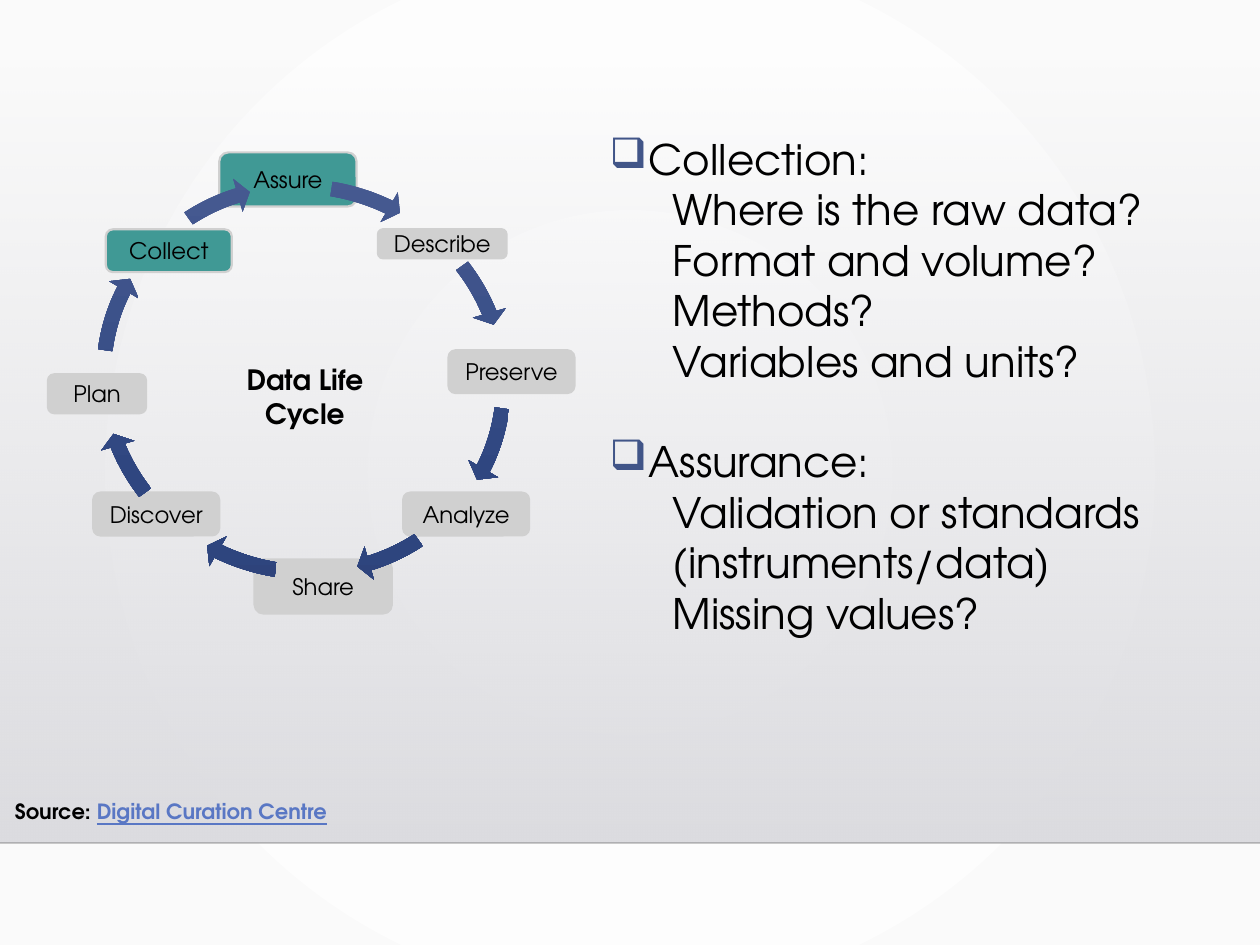
from lxml import etree
from pptx import Presentation
from pptx import util as u
from pptx.dml.color import RGBColor
from pptx.enum import shapes, text
from pptx.oxml import ns

FONT = "TeX Gyre Adventor"
BLACK, GREY, TEAL = "000000", "D0D0D0", "409995"
NAVY = [(0, "4C5F95", 100), (69, "2F4680", 100), (100, "2D4279", 100)]


def color(code):
    return RGBColor.from_string(code)


def add(parent, tag, **attrs):
    node = etree.SubElement(parent, ns.qn("a:" + tag))
    for key, value in attrs.items():
        node.set(key, str(value))
    return node


def blend(props, stops, round_=False):
    """Swap the solid fill in props for a gradient of (place, colour, opacity)."""
    old = props.find(ns.qn("a:solidFill"))
    grad = etree.Element(ns.qn("a:gradFill"), rotWithShape="0")
    items = add(grad, "gsLst")
    for place, code, alpha in stops:
        tone = add(add(items, "gs", pos=place * 1000), "srgbClr", val=code)
        if alpha < 100:
            add(tone, "alpha", val=alpha * 1000)
    if round_:
        add(add(grad, "path", path="circle"), "fillToRect",
            l=50000, t=50000, r=50000, b=50000)
    else:
        add(grad, "lin", ang=90 * 60000, scaled=0)
    props.replace(old, grad)


class Page:
    def __init__(self, slide, font):
        self.slide, self.font = slide, font

    def style(self, para, size, bold=False):
        for run in para.runs:
            run.font.name = self.font
            run.font.size = u.Pt(size)
            run.font.bold = bold
            run.font.color.rgb = color(BLACK)

    def back(self, stops):
        self.slide.background.fill.solid()
        blend(self.slide._element.cSld.bg.bgPr, stops, round_=True)

    def shape(self, kind, box, fill=None, stops=None):
        item = self.slide.shapes.add_shape(kind, *map(u.Inches, box))
        item.shadow.inherit = False
        item.fill.solid()
        item.line.fill.background()
        if stops:
            blend(item._element.spPr, stops)
        else:
            item.fill.fore_color.rgb = color(fill)
        return item

    def node(self, label, box, fill):
        item = self.shape(shapes.MSO_SHAPE.ROUNDED_RECTANGLE, box, fill)
        item.line.color.rgb = color(GREY)
        item.line.width = u.Pt(1.25)
        frame = item.text_frame
        frame.text = label
        frame.vertical_anchor = text.MSO_ANCHOR.MIDDLE
        frame.paragraphs[0].alignment = text.PP_ALIGN.CENTER
        self.style(frame.paragraphs[0], 13)

    def arrow(self, box, turn, start, end):
        """Draw an arc arrow; start and end are degrees."""
        item = self.shape(shapes.MSO_SHAPE.CIRCULAR_ARROW, box, stops=NAVY)
        item.rotation = turn
        unit = 0.6  # one degree is 60000, adjustments count in 100000
        for i, value in enumerate((0.035, 3.62 * unit, end * unit,
                                   start * unit, 0.041)):
            item.adjustments[i] = value

    def rule(self, x1, y1, x2, y2):
        line = self.slide.shapes.add_connector(
            shapes.MSO_CONNECTOR.STRAIGHT, *map(u.Inches, (x1, y1, x2, y2)))
        line.line.width = u.Pt(1)
        line.line.color.rgb = color("000001")
        props = line._element.spPr
        add(props.find(".//" + ns.qn("a:srgbClr")), "alpha", val=20000)
        add(props, "effectLst")

    def words(self, box):
        item = self.slide.shapes.add_textbox(*map(u.Inches, box))
        item.text_frame.word_wrap = True
        item.text_frame.auto_size = text.MSO_AUTO_SIZE.SHAPE_TO_FIT_TEXT
        return item.text_frame

    def label(self, box, line, size):
        para = self.words(box).paragraphs[0]
        para.text = line
        para.alignment = text.PP_ALIGN.CENTER
        self.style(para, size, True)

    def source(self, box, lead, name):
        para = self.words(box).paragraphs[0]
        para.text = lead
        run = para.add_run()
        run.text = name
        self.style(para, 12, True)
        run.font.color.rgb = color("5977C4")
        run.font.underline = True

    def topics(self, box, groups, size):
        frame = self.words(box)
        para = frame.paragraphs[0]
        for i, (head, *lines) in enumerate(groups):
            if i:
                para = frame.add_paragraph()
                para.space_before = u.Pt(28.8)
            para.text = head
            props = para._p.get_or_add_pPr()
            props.set("marL", str(u.Inches(0.31)))
            props.set("indent", str(-u.Inches(0.31)))
            add(add(props, "buClr"), "srgbClr", val="415588")
            add(props, "buChar", char="❑")
            self.style(para, size)
            for line in lines:
                para = frame.add_paragraph()
                para.text = line
                para.level = 1
                props = para._p.get_or_add_pPr()
                props.set("marL", str(u.Inches(0.5)))
                props.set("indent", "0")
                self.style(para, size)


def main():
    deck = Presentation()
    deck.slide_width, deck.slide_height = u.Inches(10), u.Inches(7.5)
    page = Page(deck.slides.add_slide(deck.slide_layouts[6]), FONT)

    page.back([(0, "FFFFFF", 100), (100, "FAFAFA", 100)])
    page.shape(shapes.MSO_SHAPE.RECTANGLE, (0, 0.51, 10, 6.18),
               stops=[(0, "DCDCE0", 0), (100, "DEDEE2", 100)])
    page.rule(0, 6.69, 10, 6.69)
    page.source((0.02, 6.29, 2.97, 0.3), "Source: ", "Digital Curation Centre")

    nodes = [
        ("Discover", (0.74, 3.91, 1, 0.34), GREY),
        ("Analyze", (3.2, 3.91, 1, 0.34), GREY),
        ("Describe", (3, 1.82, 1.02, 0.23), GREY),
        ("Collect", (0.84, 1.82, 1, 0.34), TEAL),
        ("Assure", (1.74, 1.21, 1.09, 0.43), TEAL),
        ("Plan", (0.38, 2.97, 0.78, 0.31), GREY),
        ("Share", (2.02, 4.44, 1.09, 0.43), GREY),
        ("Preserve", (3.56, 2.78, 1, 0.34), GREY),
    ]
    for node in nodes:
        page.node(*node)

    # Two kinds of arc take turns, each kind a quarter turn apart.
    for step in range(4):
        for start, end in ((305.23, 321.15), (349.13, 7.25)):
            turn = 90 * step
            page.arrow((0.75, 1.28, 3.32, 3.46), 289.2,
                       (start + turn) % 360, (end + turn) % 360)

    page.label((1.58, 2.83, 1.68, 0.3), "Data Life Cycle", 16)
    page.topics((4.74, 1.01, 4.77, 4.54), [
        ("Collection:", "Where is the raw data?", "Format and volume?",
         "Methods?", "Variables and units?"),
        ("Assurance:", "Validation or standards (instruments/data)",
         "Missing values?"),
    ], 24)
    deck.save("out.pptx")


if __name__ == "__main__":
    main()
